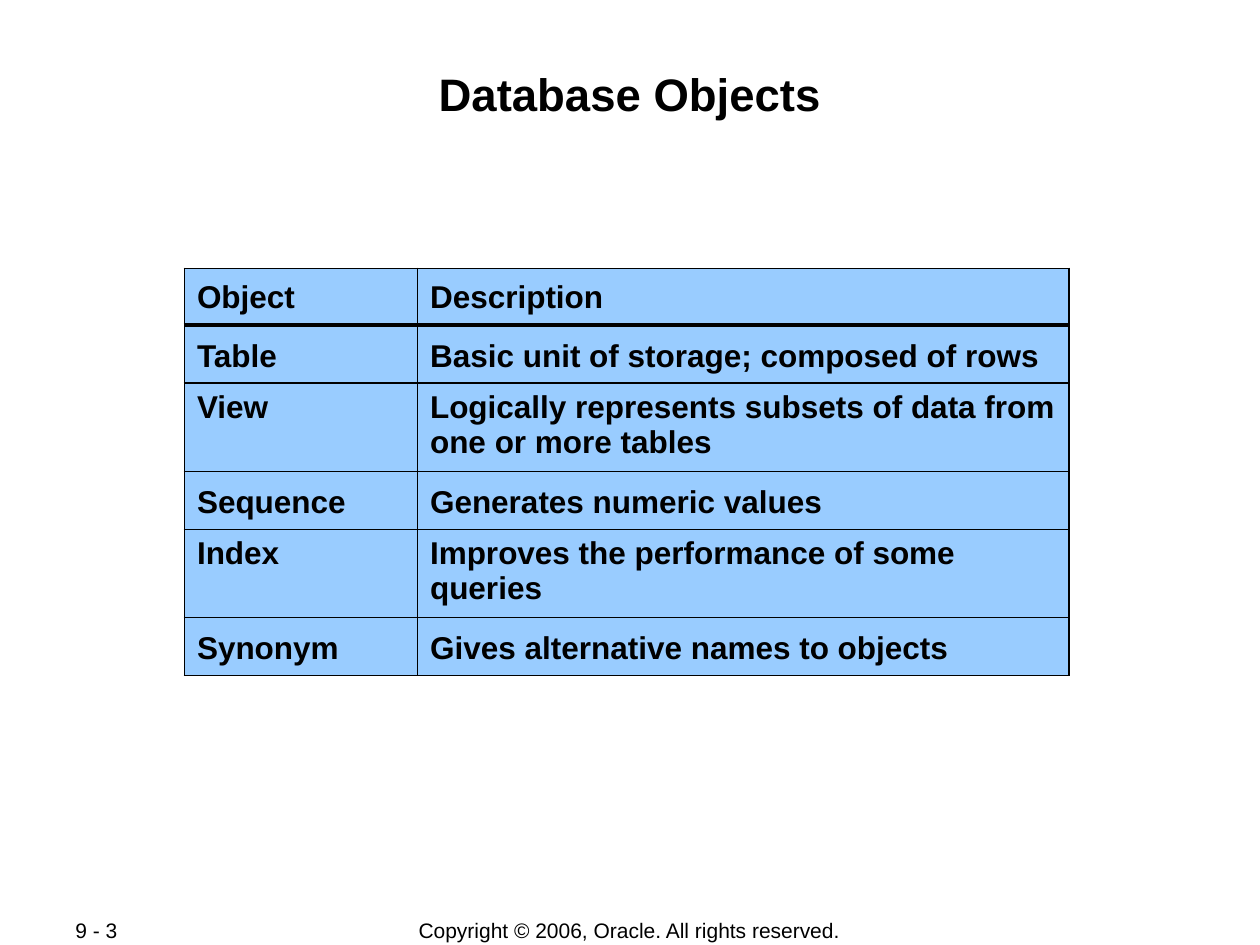
import pptx
import pptx.util
import pptx.dml.color
import pptx.enum.text
import pptx.oxml
import pptx.oxml.ns
import lxml.etree

Pt = pptx.util.Pt
ALIGN = pptx.enum.text.PP_ALIGN
ANCHOR = pptx.enum.text.MSO_ANCHOR
COLORS = {"ink": "000000", "cell": "99CCFF"}


def write_text(frame, words, font_format, paragraph_format):
    paragraph = frame.paragraphs[0]
    run = paragraph.add_run()
    run.text = words
    run.font.color.rgb = pptx.dml.color.RGBColor.from_string(COLORS["ink"])
    for target, values in ((run.font, font_format), (paragraph, paragraph_format)):
        for attribute, value in values.items():
            setattr(target, attribute, value)


def add_border(cell, side, width):
    properties = cell._tc.get_or_add_tcPr()
    line = lxml.etree.SubElement(
        properties, pptx.oxml.ns.qn("a:" + side), w=str(Pt(width))
    )
    fill = lxml.etree.SubElement(line, pptx.oxml.ns.qn("a:solidFill"))
    lxml.etree.SubElement(fill, pptx.oxml.ns.qn("a:srgbClr"), val=COLORS["ink"])


presentation = pptx.Presentation()
presentation.slide_width = Pt(720)
presentation.slide_height = Pt(540)
slide = presentation.slides.add_slide(presentation.slide_layouts[6])

footer_font = {"name": "Arial", "size": Pt(12), "bold": False}
title_font = {"name": "Arial", "size": Pt(26), "bold": True}
table_font = {"name": "Arial", "size": Pt(18), "bold": True}

footer_margins = (7.2, 3.6, 7.2, 3.6)
title_margins = (0.7, 3.2, 0.7, 0.7)
labels = [
    ("Copyright © 2006, Oracle. All rights reserved.", (198, 524.2, 323.3, 15.1),
     footer_font, ALIGN.CENTER, ANCHOR.MIDDLE, footer_margins),
    ("9 - 3", (36, 524.2, 76.3, 14.4),
     footer_font, ALIGN.LEFT, ANCHOR.MIDDLE, footer_margins),
    ("Database Objects", (48.2, 34.6, 623.5, 69.1),
     title_font, ALIGN.CENTER, ANCHOR.TOP, title_margins),
]
for words, place, font, alignment, anchor, margins in labels:
    frame = slide.shapes.add_textbox(*map(Pt, place)).text_frame
    left, top, right, bottom = map(Pt, margins)
    frame_format = {
        "word_wrap": True, "vertical_anchor": anchor,
        "margin_left": left, "margin_top": top,
        "margin_right": right, "margin_bottom": bottom,
    }
    for attribute, value in frame_format.items():
        setattr(frame, attribute, value)
    write_text(frame, words, font, {"alignment": alignment})

header_spacing = {"line_spacing": 1.15, "space_after": Pt(7.9)}
single_spacing = {"line_spacing": 1.2, "space_after": Pt(7.9)}
database_objects = [
    ("Object", "Description", 32.4, header_spacing),
    ("Table", "Basic unit of storage; composed of rows", 33.12, single_spacing),
    ("View", "Logically represents subsets of data from one or more tables",
     50.4, {"space_after": Pt(5.6)}),
    ("Sequence", "Generates numeric values", 33.12, single_spacing),
    ("Index", "Improves the performance of some queries", 50.4, {}),
    ("Synonym", "Gives alternative names to objects", 33.12, single_spacing),
]
column_widths = (133.2, 372.24)
objects_table = slide.shapes.add_table(
    len(database_objects), len(column_widths), Pt(105.4), Pt(153.4),
    Pt(sum(column_widths)), Pt(sum(entry[2] for entry in database_objects)),
).table
objects_table.first_row = False
objects_table.horz_banding = False
for column, width in zip(objects_table.columns, column_widths):
    column.width = Pt(width)

for index, (name, description, height, spacing) in enumerate(database_objects):
    objects_table.rows[index].height = Pt(height)
    borders = {
        "lnL": 1.08, "lnR": 1.08,
        "lnT": 2.21 if index == 1 else 1.08,
        "lnB": 2.21 if index == 0 else 1.08,
    }
    for cell, words in zip(objects_table.rows[index].cells, (name, description)):
        for side, width in borders.items():
            add_border(cell, side, width)
        cell.fill.solid()
        cell.fill.fore_color.rgb = pptx.dml.color.RGBColor.from_string(COLORS["cell"])
        write_text(cell.text_frame, words, table_font, spacing)

presentation.save("out.pptx")
